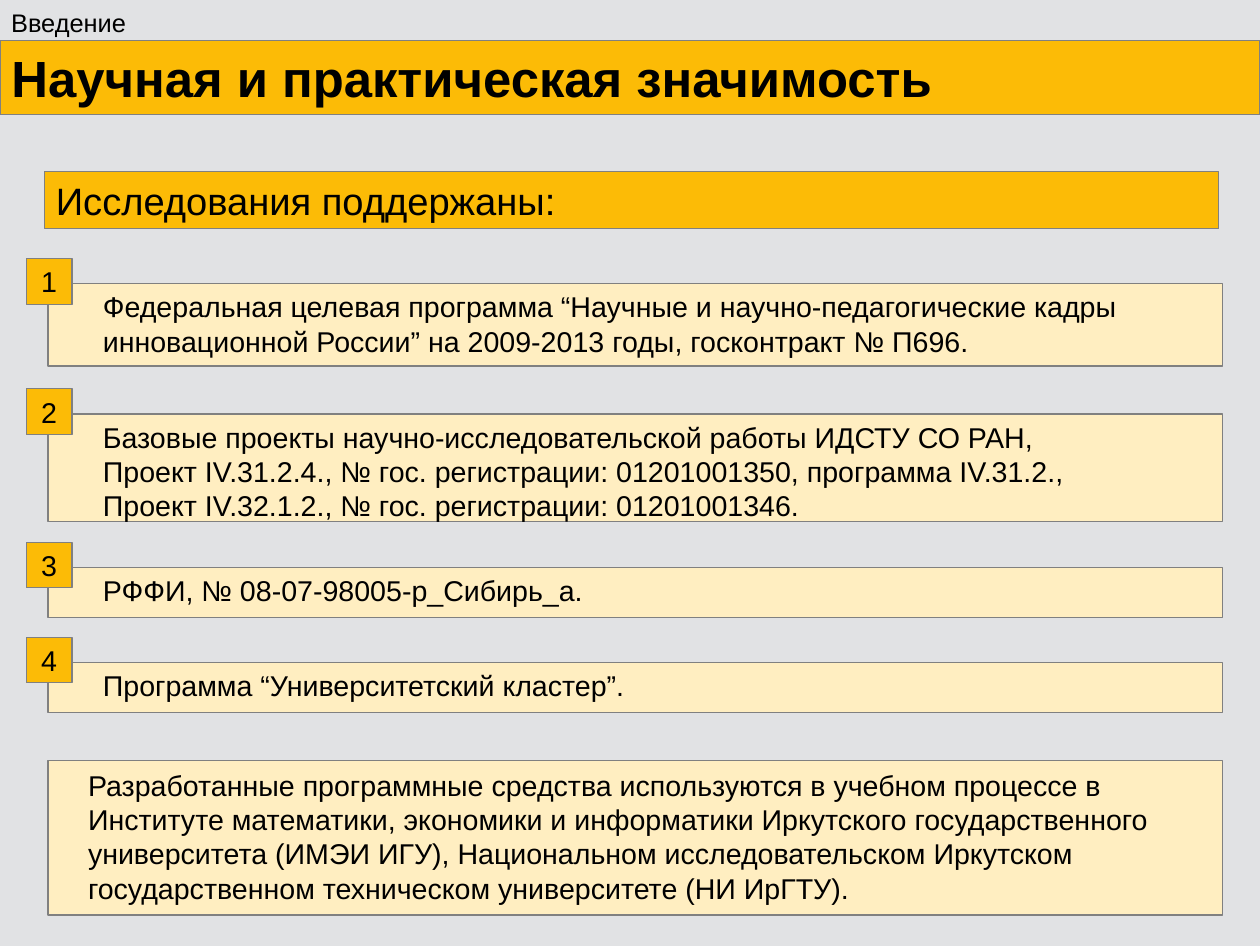
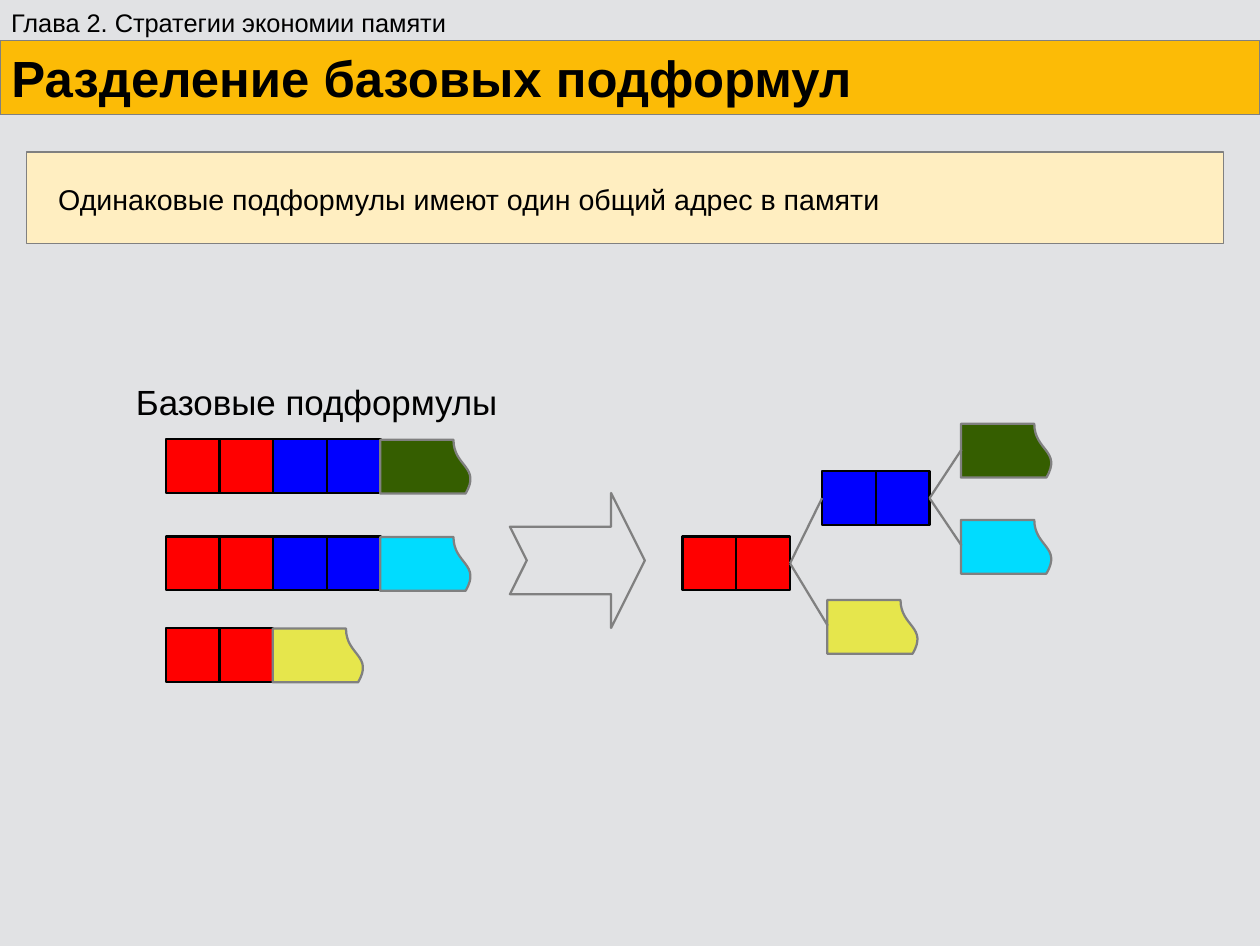
"""Builds two slides on research support and on sharing of basic subformulas."""
from lxml import etree
from pptx import Presentation
from pptx import util as u
from pptx.dml.color import RGBColor
from pptx.enum import shapes, text
from pptx.oxml.ns import qn

FONT = "Arial"
GROUND = RGBColor(0xE1, 0xE2, 0xE4)
AMBER = RGBColor(0xFC, 0xBB, 0x06)
CREAM = RGBColor(0xFF, 0xEE, 0xC1)
GRAY = RGBColor(0x80, 0x80, 0x80)
BLACK = RGBColor(0x00, 0x00, 0x00)
RED = RGBColor(0xFF, 0x00, 0x00)
BLUE = RGBColor(0x00, 0x00, 0xFF)
GREEN = RGBColor(0x35, 0x5E, 0x00)
CYAN = RGBColor(0x00, 0xDC, 0xFF)
YELLOW = RGBColor(0xE6, 0xE6, 0x4C)

EMU_PER_PX = 9144
WIDTH, HEIGHT = 1102, 827
CELL = 47
TAIL = 80
OUTLINE = 1.42

SUPPORTS = [
    (248, 72, ["Федеральная целевая программа “Научные и научно-педагогические кадры",
               "инновационной России” на 2009-2013 годы, госконтракт № П696."]),
    (362, 94, ["Базовые проекты научно-исследовательской работы ИДСТУ СО РАН,",
               "Проект IV.31.2.4., № гос. регистрации: 01201001350, программа IV.31.2.,",
               "Проект IV.32.1.2., № гос. регистрации: 01201001346."]),
    (496, 44, ["РФФИ, № 08-07-98005-р_Сибирь_а."]),
    (579, 44, ["Программа “Университетский кластер”."]),
]
USAGE = [
    "Разработанные программные средства используются в учебном процессе в",
    "Институте математики, экономики и информатики Иркутского государственного",
    "университета (ИМЭИ ИГУ), Национальном исследовательском Иркутском",
    "государственном техническом университете (НИ ИрГТУ).",
]
SUBFORMULAS = [
    (384, [RED, RED, BLUE, BLUE], GREEN),
    (469, [RED, RED, BLUE, BLUE], CYAN),
    (549, [RED, RED], YELLOW),
]


def px(*lengths):
    return [u.Emu(length * EMU_PER_PX) for length in lengths]


def write(shape, lines, size=18, bold=False, align=text.PP_ALIGN.LEFT,
          anchor=text.MSO_ANCHOR.TOP, inset=(10, 5)):
    frame = shape.text_frame
    frame.word_wrap = True
    frame.auto_size = text.MSO_AUTO_SIZE.NONE
    frame.vertical_anchor = anchor
    frame.margin_left, frame.margin_top = px(*inset)
    frame.margin_right, frame.margin_bottom = px(0 if align == text.PP_ALIGN.LEFT else inset[0], inset[1])
    for index, line in enumerate(lines):
        paragraph = frame.add_paragraph() if index else frame.paragraphs[0]
        paragraph.alignment = align
        run = paragraph.add_run()
        run.text = line
        run.font.name = FONT
        run.font.size = u.Pt(size)
        run.font.bold = bold
        run.font.color.rgb = BLACK


class Deck:
    def __init__(self):
        self.prs = Presentation()
        self.prs.slide_width, self.prs.slide_height = px(WIDTH, HEIGHT)
        ground = self.prs.slide_master.background.fill
        ground.solid()
        ground.fore_color.rgb = GROUND
        self.slide = None

    def paint(self, shape, fill, line=GRAY, weight=0):
        if fill is None:
            shape.fill.background()
        else:
            shape.fill.solid()
            shape.fill.fore_color.rgb = fill
        shape.line.color.rgb = line
        shape.line.width = u.Pt(weight)

    def start(self, section, heading):
        self.slide = self.prs.slides.add_slide(self.prs.slide_layouts[5])
        band = self.slide.shapes.title
        band.left, band.top, band.width, band.height = px(0, 35, WIDTH, 65)
        self.paint(band, AMBER)
        write(band, [heading], size=32, bold=True, anchor=text.MSO_ANCHOR.MIDDLE)
        self.label(0, 1, 600, 38, section, size=16)

    def label(self, left, top, width, height, words, **style):
        box = self.slide.shapes.add_textbox(*px(left, top, width, height))
        write(box, [words], **style)

    def shape(self, kind, left, top, width, height, fill, line=GRAY, weight=0):
        figure = self.slide.shapes.add_shape(kind, *px(left, top, width, height))
        figure.shadow.inherit = False
        self.paint(figure, fill, line, weight)
        return figure

    def panel(self, left, top, width, height, fill, lines, **style):
        box = self.shape(shapes.MSO_SHAPE.RECTANGLE, left, top, width, height, fill)
        write(box, lines, **style)

    def cells(self, left, top, colours):
        return [self.shape(shapes.MSO_SHAPE.RECTANGLE, left + i * CELL, top, CELL, CELL,
                           colour, BLACK, OUTLINE)
                for i, colour in enumerate(colours)]

    def tail(self, left, top, colour):
        shift = (TAIL - CELL) // 2
        torn = self.shape(shapes.MSO_SHAPE.FLOWCHART_DOCUMENT, left + shift, top - shift,
                          CELL, TAIL, colour, GRAY, OUTLINE)
        torn.rotation = 270

    def notched_arrow(self, left, top, side):
        arrow = self.shape(shapes.MSO_SHAPE.NOTCHED_RIGHT_ARROW, left, top, side, side,
                           None, GRAY, OUTLINE)
        arrow.adjustments[1] = 0.25

    def branch(self, parent, left, top, child=None):
        start = (parent.left + parent.width, parent.top + parent.height // 2)
        link = self.slide.shapes.add_connector(
            shapes.MSO_CONNECTOR.STRAIGHT, *start, *px(left, top + CELL // 2))
        link.begin_connect(parent, 3)
        if child is not None:
            link.end_connect(child, 1)
        link.line.color.rgb = GRAY
        link.line.width = u.Pt(OUTLINE)
        etree.SubElement(link._element.spPr, qn("a:effectLst"))


def significance(deck):
    deck.start("Введение", "Научная и практическая значимость")
    deck.panel(39, 150, 1027, 50, AMBER, ["Исследования поддержаны:"],
               size=24, anchor=text.MSO_ANCHOR.MIDDLE)
    for number, (top, height, lines) in enumerate(SUPPORTS, 1):
        deck.panel(42, top, 1027, height, CREAM, lines, inset=(48, 5))
        deck.panel(23, top - 22, 40, 40, AMBER, [str(number)],
                   align=text.PP_ALIGN.CENTER, anchor=text.MSO_ANCHOR.MIDDLE)
    deck.panel(42, 665, 1027, 135, CREAM, USAGE, inset=(35, 6))


def sharing(deck):
    deck.start("Глава 2. Стратегии экономии памяти", "Разделение базовых подформул")
    deck.panel(23, 133, 1047, 80, CREAM,
               ["Одинаковые подформулы имеют один общий адрес в памяти"], inset=(28, 26))
    deck.label(108, 327, 376, 61, "Базовые подформулы", size=22, inset=(11, 6))
    for top, colours, ending in SUBFORMULAS:
        deck.cells(145, top, colours)
        deck.tail(145 + len(colours) * CELL, top, ending)
    deck.notched_arrow(446, 431, 118)
    root = deck.cells(597, 469, [RED, RED])
    node = deck.cells(719, 412, [BLUE, BLUE])
    deck.branch(root[-1], 719, 412, node[0])
    for parent, left, top, colour in [(root, 724, 524, YELLOW),
                                      (node, 841, 370, GREEN),
                                      (node, 841, 454, CYAN)]:
        deck.tail(left, top, colour)
        deck.branch(parent[-1], left, top)


def main():
    deck = Deck()
    significance(deck)
    sharing(deck)
    deck.prs.save("out.pptx")


if __name__ == "__main__":
    main()
